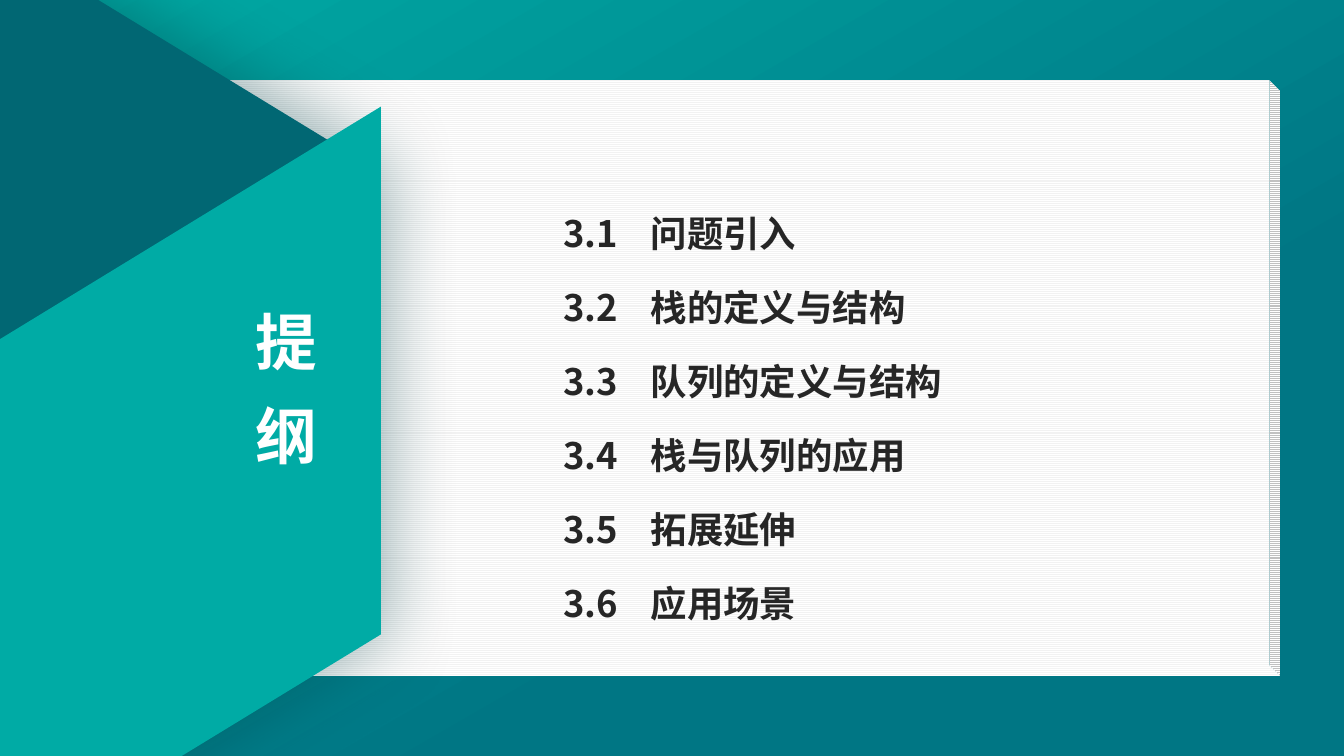
from lxml import etree
from pptx import Presentation
from pptx.dml.color import RGBColor
from pptx.enum import dml, shapes, text
from pptx.oxml import ns
from pptx.util import Pt

# Content
TITLE = ["提", "纲"]
TOPICS = ["问题引入", "栈的定义与结构", "队列的定义与结构",
          "栈与队列的应用", "拓展延伸", "应用场景"]
CHAPTER = 3

THEME = {
    "teal": "00ABA5", "deep": "007684", "dark": "016773",
    "paper": "FFFFFF", "rule": "F2F2F2", "ink": "262626",
    "panel_shadow": "013F45", "title_shadow": "000000",
    "font": "Noto Sans CJK SC", "title_size": 44, "topic_size": 26,
}


def color(name):
    return RGBColor.from_string(THEME[name])


def add_element(parent, tag, **attributes):
    child = etree.SubElement(parent, ns.qn(tag))
    for key, value in attributes.items():
        child.set(key, str(value))
    return child


def add_shadow(properties, name, alpha, blur, distance, angle):
    effects = properties.find(ns.qn("a:effectLst"))
    if effects is None:
        effects = etree.Element(ns.qn("a:effectLst"))
        fill = properties.find(ns.qn("a:solidFill"))
        fill.addnext(effects)
    shadow = add_element(effects, "a:outerShdw", blurRad=Pt(blur), dist=Pt(distance),
                         dir=angle * 60000, algn="ctr", rotWithShape=0)
    tint = add_element(shadow, "a:srgbClr", val=THEME[name])
    add_element(tint, "a:alpha", val=alpha * 1000)


def set_gradient(fill, stops, clockwise):
    fill.gradient()
    fill.gradient_angle = 360 - clockwise
    for stop, (position, name) in zip(fill.gradient_stops, stops):
        stop.position = position
        stop.color.rgb = color(name)


def add_panel(page, kind, frame, adjustments, rotation=0):
    panel = page.shapes.add_shape(kind, *map(Pt, frame))
    panel.shadow.inherit = False
    panel.line.fill.background()
    panel.rotation = rotation
    for index, value in enumerate(adjustments):
        panel.adjustments[index] = value
    return panel


def add_text(page, lines, frame, *, size, ink, align=text.PP_ALIGN.LEFT,
             spacing=1.0, before=0, tab=None, shadow=None):
    box = page.shapes.add_textbox(*map(Pt, frame))
    body = box.text_frame
    body.word_wrap = True
    body.margin_top = body.margin_bottom = 0
    for index, line in enumerate(lines):
        para = body.paragraphs[0] if index == 0 else body.add_paragraph()
        para.alignment = align
        para.line_spacing = spacing
        para.space_before = Pt(before if index else 0)
        if tab:
            tabs = add_element(para._p.get_or_add_pPr(), "a:tabLst")
            add_element(tabs, "a:tab", pos=Pt(tab), algn="l")
        span = para.add_run()
        span.text = line
        span.font.size = Pt(THEME[size])
        span.font.bold = True
        span.font.color.rgb = color(ink)
        properties = span._r.get_or_add_rPr()
        if shadow:
            add_shadow(properties, *shadow)
        span.font.name = THEME["font"]
        add_element(properties, "a:ea", typeface=THEME["font"])
    return box


def main():
    deck = Presentation()
    deck.slide_width, deck.slide_height = Pt(960), Pt(540)
    page = deck.slides.add_slide(deck.slide_layouts[6])
    set_gradient(page.background.fill, [(0, "teal"), (0.67, "deep")], 60)

    # Ruled notebook page
    kinds = shapes.MSO_SHAPE
    notebook = add_panel(page, kinds.CUBE, (0, 57.4, 914.4, 425.4), [0.018])
    notebook._element.spPr.xfrm.set("flipV", "1")
    notebook.fill.patterned()
    notebook.fill.pattern = dml.MSO_PATTERN.LIGHT_HORIZONTAL
    notebook.fill.fore_color.rgb = color("rule")
    notebook.fill.back_color.rgb = color("paper")

    # Dark hexagon and its bright folded band
    hexagon = add_panel(page, kinds.HEXAGON, (-455.8, -56.9, 753.1, 684.7),
                        [0.305, 1.155], 90)
    set_gradient(hexagon.fill, [(0.77, "dark"), (1, "deep")], 90)
    add_shadow(hexagon._element.spPr, "panel_shadow", 40, 55, 13, 0)
    band = add_panel(page, kinds.PARALLELOGRAM, (-197.3, 208.1, 596.9, 321.8),
                     [0.61], 328.6)
    band.fill.solid()
    band.fill.fore_color.rgb = color("teal")

    # Title and outline
    add_text(page, TITLE, (169, 203, 71, 134), size="title_size", ink="paper",
             align=text.PP_ALIGN.CENTER, spacing=Pt(67),
             shadow=("title_shadow", 43, 3, 3, 45))
    topics = [f"{CHAPTER}.{number}\t{topic}" for number, topic in enumerate(TOPICS, 1)]
    outline = add_text(page, topics, (395.3, 135.4, 304.6, 319), size="topic_size",
                       ink="ink", spacing=1.5, before=6, tab=62.5)
    outline.text_frame.auto_size = text.MSO_AUTO_SIZE.SHAPE_TO_FIT_TEXT

    deck.save("out.pptx")


if __name__ == "__main__":
    main()
